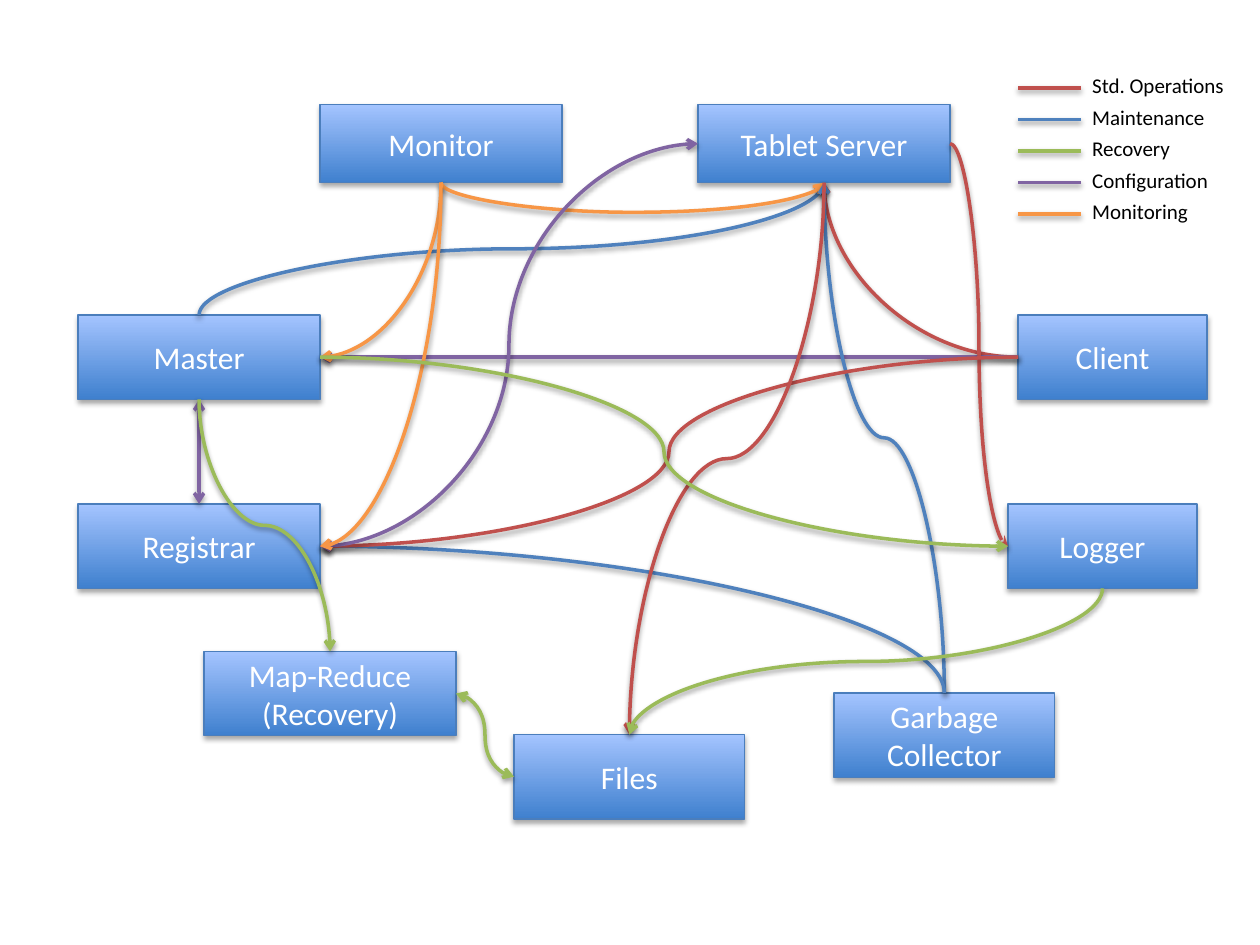
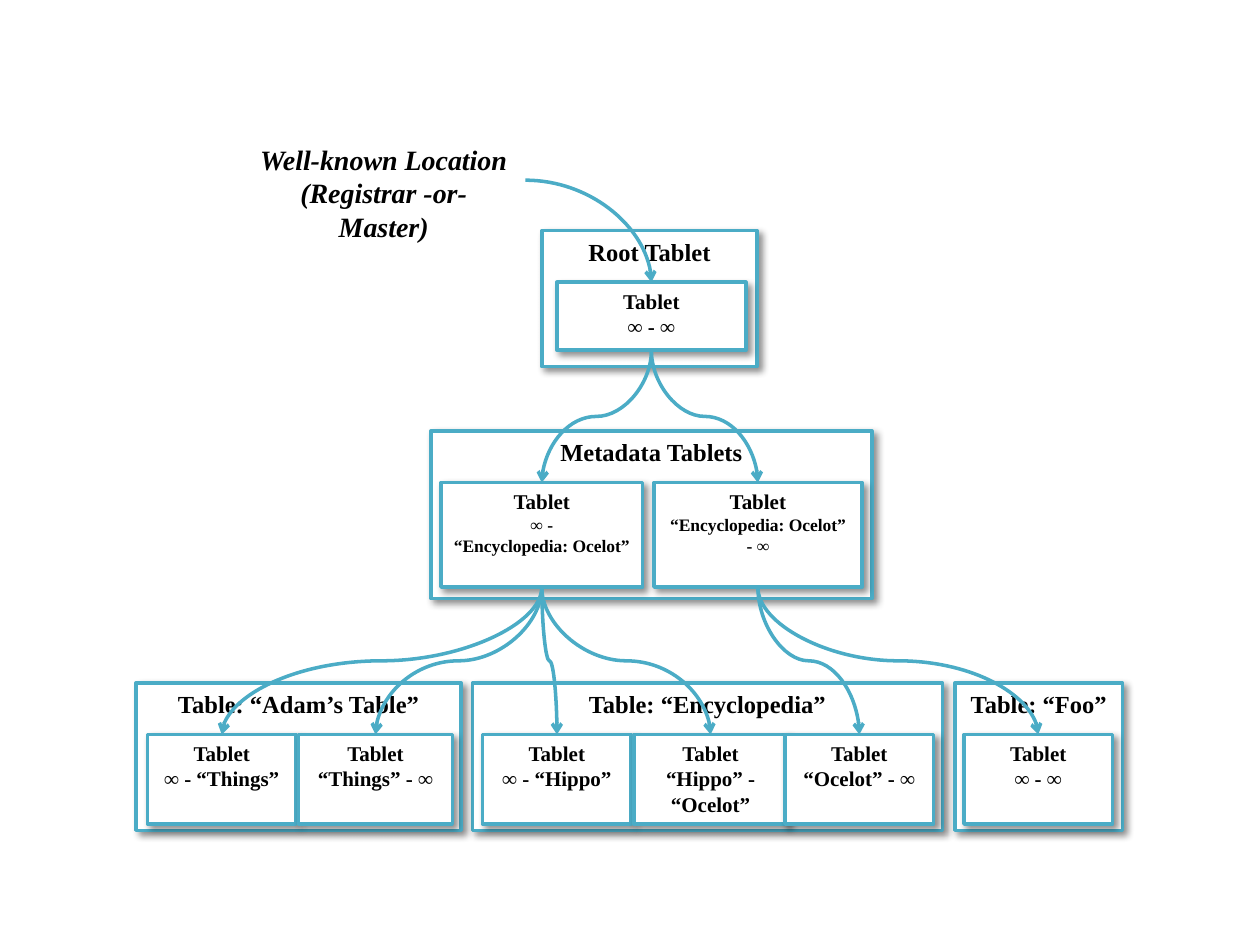
from dataclasses import dataclass
from typing import Optional

from lxml.etree import SubElement
from pptx import Presentation
from pptx.dml.color import RGBColor
from pptx.enum.shapes import MSO_CONNECTOR as Connector, MSO_SHAPE as Shape
from pptx.enum.text import MSO_ANCHOR as Anchor, PP_ALIGN as Align
from pptx.oxml.ns import qn
from pptx.util import Inches, Pt

# Connection sites of a rectangle
TOP, LEFT, BOTTOM, RIGHT = range(4)

RED, BLUE, GREEN = "C0504D", "4F81BD", "9BBB59"
PURPLE, ORANGE, TEAL = "8064A2", "F79646", "4BACC6"
WHITE, BLACK = "FFFFFF", "000000"


@dataclass(frozen=True)
class TextStyle:
    font: str
    size: int
    color: str
    bold: bool = False
    italic: bool = False
    anchor: Anchor = Anchor.TOP
    align: Align = Align.CENTER


@dataclass(frozen=True)
class Shadow:
    opacity: int
    blur: float
    distance: float
    angle: int


@dataclass(frozen=True)
class Node:
    left: float
    top: float
    width: float
    height: float
    lines: tuple


@dataclass(frozen=True)
class Link:
    start: str
    start_site: int
    end: str
    end_site: int
    color: str
    head: Optional[str] = None
    tail: str = "arrow"
    bow: Optional[float] = None


@dataclass(frozen=True)
class Tablet:
    left: float
    width: float
    lines: tuple
    range_size: int = 12


@dataclass(frozen=True)
class Group:
    title: str
    left: float
    top: float
    width: float
    height: float
    tablet_height: float
    tablets: tuple


COMPONENT_TEXT = TextStyle("Calibri", 18, WHITE, anchor=Anchor.MIDDLE)
LEGEND_TEXT = TextStyle("Calibri", 12, BLACK, align=Align.LEFT)
GROUP_TEXT = TextStyle("Times New Roman", 14, BLACK, bold=True)
TABLET_TEXT = TextStyle("Times New Roman", 12, BLACK, bold=True)
LOCATION_TEXT = TextStyle("Times New Roman", 16, BLACK, bold=True, italic=True)

COMPONENT_SHADOW = Shadow(35, 3.1, 1.8, 90)
LINK_SHADOW = Shadow(38, 3.1, 1.6, 90)
TABLET_SHADOW = Shadow(43, 4, 3, 45)

TABLET_OFFSET = 0.41

COMPONENTS = [
    Node(2.54, 0.83, 1.92, 0.62, ("Monitor",)),
    Node(0.62, 2.5, 1.92, 0.67, ("Master",)),
    Node(5.54, 0.83, 2, 0.62, ("Tablet Server",)),
    Node(8.08, 2.5, 1.5, 0.67, ("Client",)),
    Node(0.62, 4, 1.92, 0.67, ("Registrar",)),
    Node(4.08, 5.83, 1.83, 0.67, ("Files",)),
    Node(6.62, 5.5, 1.75, 0.67, ("Garbage Collector",)),
    Node(1.62, 5.17, 2, 0.67, ("Map-Reduce", "(Recovery)")),
    Node(8, 4, 1.5, 0.67, ("Logger",)),
]

COMPONENT_LINKS = [
    Link("Client", LEFT, "Tablet Server", BOTTOM, RED),
    Link("Client", LEFT, "Master", RIGHT, PURPLE),
    Link("Master", TOP, "Tablet Server", BOTTOM, BLUE),
    Link("Monitor", BOTTOM, "Master", RIGHT, ORANGE),
    Link("Monitor", BOTTOM, "Tablet Server", BOTTOM, ORANGE, bow=0.25),
    Link("Tablet Server", RIGHT, "Logger", LEFT, RED, tail="stealth"),
    Link("Garbage Collector", TOP, "Tablet Server", BOTTOM, BLUE),
    Link("Garbage Collector", TOP, "Registrar", RIGHT, BLUE),
    Link("Client", LEFT, "Registrar", RIGHT, RED),
    Link("Master", BOTTOM, "Registrar", TOP, PURPLE, head="arrow"),
    Link("Tablet Server", LEFT, "Registrar", RIGHT, PURPLE, head="arrow"),
    Link("Tablet Server", BOTTOM, "Files", TOP, RED),
    Link("Files", LEFT, "Map-Reduce", RIGHT, GREEN, head="arrow"),
    Link("Master", BOTTOM, "Map-Reduce", TOP, GREEN),
    Link("Monitor", BOTTOM, "Registrar", RIGHT, ORANGE),
    Link("Logger", BOTTOM, "Files", TOP, GREEN),
    Link("Master", RIGHT, "Logger", LEFT, GREEN),
]

LEGEND = [
    ("Std. Operations", RED, 1.27),
    ("Maintenance", BLUE, 1.1),
    ("Recovery", GREEN, 0.83),
    ("Configuration", PURPLE, 1.13),
    ("Monitoring", ORANGE, 0.97),
]

GROUPS = [
    Group("Table: “Encyclopedia”", 3.75, 5.42, 3.73, 1.17, 0.71, (
        Tablet(3.83, 1.18, ("∞ - “Hippo”",)),
        Tablet(5.03, 1.22, ("“Hippo” - “Ocelot”",)),
        Tablet(6.23, 1.18, ("“Ocelot” - ∞",)))),
    Group("Table: “Adam’s Table”", 1.08, 5.42, 2.58, 1.17, 0.71, (
        Tablet(1.17, 1.18, ("∞ - “Things”",)),
        Tablet(2.37, 1.22, ("“Things” - ∞",)))),
    Group("Table: “Foo”", 7.58, 5.42, 1.33, 1.17, 0.71, (
        Tablet(7.65, 1.18, ("∞ - ∞",)),)),
    Group("Metadata Tablets", 3.42, 3.42, 3.5, 1.33, 0.83, (
        Tablet(3.5, 1.6, ("∞ -", "“Encyclopedia: Ocelot”"), 10),
        Tablet(5.19, 1.65, ("“Encyclopedia: Ocelot” - ∞",), 10))),
    Group("Root Tablet", 4.3, 1.83, 1.71, 1.08, 0.54, (
        Tablet(4.42, 1.5, ("∞ - ∞",)),)),
]

LOCATION = Node(1.92, 1.08, 2.25, 0.7,
                ("Well-known Location", "(Registrar -or- Master)"))


def rgb(color: str) -> RGBColor:
    return RGBColor.from_string(color)


def write_lines(shape, lines: tuple, style: TextStyle, sizes: tuple = ()) -> None:
    frame = shape.text_frame
    frame.vertical_anchor = style.anchor
    for index, text in enumerate(lines):
        paragraph = frame.paragraphs[0] if index == 0 else frame.add_paragraph()
        paragraph.alignment = style.align
        run = paragraph.add_run()
        run.text = text
        font = run.font
        font.name = style.font
        font.size = Pt(sizes[index] if sizes else style.size)
        font.bold, font.italic = style.bold, style.italic
        font.color.rgb = rgb(style.color)


def set_shadow(shape, shadow: Optional[Shadow]) -> None:
    """Replace the theme shadow, with nothing if none is given."""
    properties = shape._element.spPr
    effects = properties.find(qn("a:effectLst"))
    if effects is None:
        effects = SubElement(properties, qn("a:effectLst"))
    if shadow:
        outer = SubElement(effects, qn("a:outerShdw"), {
            "blurRad": str(Pt(shadow.blur)), "dist": str(Pt(shadow.distance)),
            "dir": str(shadow.angle * 60000), "rotWithShape": "0"})
        color = SubElement(outer, qn("a:srgbClr"), val=BLACK)
        SubElement(color, qn("a:alpha"), val=str(shadow.opacity * 1000))


def add_box(slide, node: Node, style: TextStyle, shadow: Optional[Shadow] = None,
            line: Optional[str] = None, line_width: float = 2, sizes: tuple = ()):
    box = slide.shapes.add_shape(Shape.RECTANGLE, Inches(node.left), Inches(node.top),
                                 Inches(node.width), Inches(node.height))
    box.shadow.inherit = False
    box.fill.solid()
    box.fill.fore_color.rgb = rgb(WHITE)
    if line:
        box.line.color.rgb = rgb(line)
        box.line.width = Pt(line_width)
    else:
        box.line.fill.background()
    set_shadow(box, shadow)
    box.text_frame.word_wrap = True
    write_lines(box, node.lines, style, sizes)
    return box


def style_line(connector, color: str, shadow: Optional[Shadow],
               head: Optional[str] = None, tail: Optional[str] = None) -> None:
    connector.line.color.rgb = rgb(color)
    connector.line.width = Pt(2)
    outline = connector.line._get_or_add_ln()
    for tag, arrow in (("a:headEnd", head), ("a:tailEnd", tail)):
        if arrow:
            SubElement(outline, qn(tag), type=arrow)
    set_shadow(connector, shadow)


def add_link(slide, shapes: dict, link: Link, shadow: Optional[Shadow] = None) -> None:
    """Glue a curve between two sites; it leaves each box at a right angle."""
    connector = slide.shapes.add_connector(Connector.CURVE, 0, 0, 0, 0)
    connector.begin_connect(shapes[link.start], link.start_site)
    connector.end_connect(shapes[link.end], link.end_site)
    properties = connector._element.spPr
    geometry = properties.find(qn("a:prstGeom"))
    starts_vertical = link.start_site in (TOP, BOTTOM)
    if starts_vertical != (link.end_site in (TOP, BOTTOM)):
        geometry.set("prst", "curvedConnector2")

    if starts_vertical:
        # Turn the preset a quarter, keeping its centre
        across = connector.end_x - connector.begin_x
        down = connector.end_y - connector.begin_y
        center_x = connector.begin_x + across // 2
        center_y = connector.begin_y + down // 2
        width, height = max(abs(down), Pt(0.12)), abs(across)
        connector.left, connector.top = center_x - width // 2, center_y - height // 2
        connector.width, connector.height = width, height
        transform = properties.find(qn("a:xfrm"))
        angle = 270 if (across > 0) == (down >= 0) else 90
        transform.set("rot", str(angle * 60000))
        transform.set("flipH", str(int(across > 0)))
        transform.set("flipV", str(int(down < 0)))
        if link.bow:
            ratio = round(Inches(link.bow) / width * 100000)
            SubElement(geometry.find(qn("a:avLst")), qn("a:gd"),
                       name="adj1", fmla=f"val {ratio}")
    style_line(connector, link.color, shadow, link.head, link.tail)


def build_components(slide) -> None:
    shapes = {}
    for node in COMPONENTS:
        box = add_box(slide, node, COMPONENT_TEXT, COMPONENT_SHADOW, "4B7EBC", 0.75)
        box.fill.gradient()
        box.fill.gradient_angle = 90
        for stop, color in zip(box.fill.gradient_stops, ("3F80CE", "A4C4FF")):
            stop.color.rgb = rgb(color)
        shapes[node.lines[0]] = box
    for link in COMPONENT_LINKS:
        add_link(slide, shapes, link, LINK_SHADOW)

    # Legend
    for row, (label, color, width) in enumerate(LEGEND):
        middle = 0.7 + 0.25 * row
        key = slide.shapes.add_connector(Connector.STRAIGHT, Inches(8.08), Inches(middle),
                                         Inches(8.58), Inches(middle))
        style_line(key, color, LINK_SHADOW)
        text_box = slide.shapes.add_textbox(Inches(8.57), Inches(middle - 0.17),
                                            Inches(width), Inches(0.3))
        text_box.text_frame.word_wrap = False
        write_lines(text_box, (label,), LEGEND_TEXT)


def build_tablets(slide) -> None:
    shapes = {}
    for group in GROUPS:
        frame = Node(group.left, group.top, group.width, group.height, (group.title,))
        add_box(slide, frame, GROUP_TEXT, TABLET_SHADOW, TEAL)
        for index, tablet in enumerate(group.tablets):
            node = Node(tablet.left, group.top + TABLET_OFFSET, tablet.width,
                        group.tablet_height, ("Tablet", *tablet.lines))
            sizes = (TABLET_TEXT.size, *[tablet.range_size] * len(tablet.lines))
            shapes[group.title, index] = add_box(slide, node, TABLET_TEXT, TABLET_SHADOW,
                                                 TEAL, sizes=sizes)
    shapes["Location"] = add_box(slide, LOCATION, LOCATION_TEXT)

    # Each tablet points down to the tablets it indexes
    encyclopedia, adams, foo, metadata, root = (group.title for group in GROUPS)
    children = {
        (root, 0): [(metadata, 0), (metadata, 1)],
        (metadata, 0): [(adams, 0), (adams, 1), (encyclopedia, 0), (encyclopedia, 1)],
        (metadata, 1): [(encyclopedia, 2), (foo, 0)],
    }
    for parent, targets in children.items():
        for target in targets:
            add_link(slide, shapes, Link(parent, BOTTOM, target, TOP, TEAL))
    add_link(slide, shapes, Link("Location", RIGHT, (root, 0), TOP, TEAL))


def main() -> None:
    presentation = Presentation()
    presentation.slide_width, presentation.slide_height = Inches(10), Inches(7.5)
    for build in (build_components, build_tablets):
        build(presentation.slides.add_slide(presentation.slide_layouts[6]))
    presentation.save("out.pptx")


if __name__ == "__main__":
    main()
